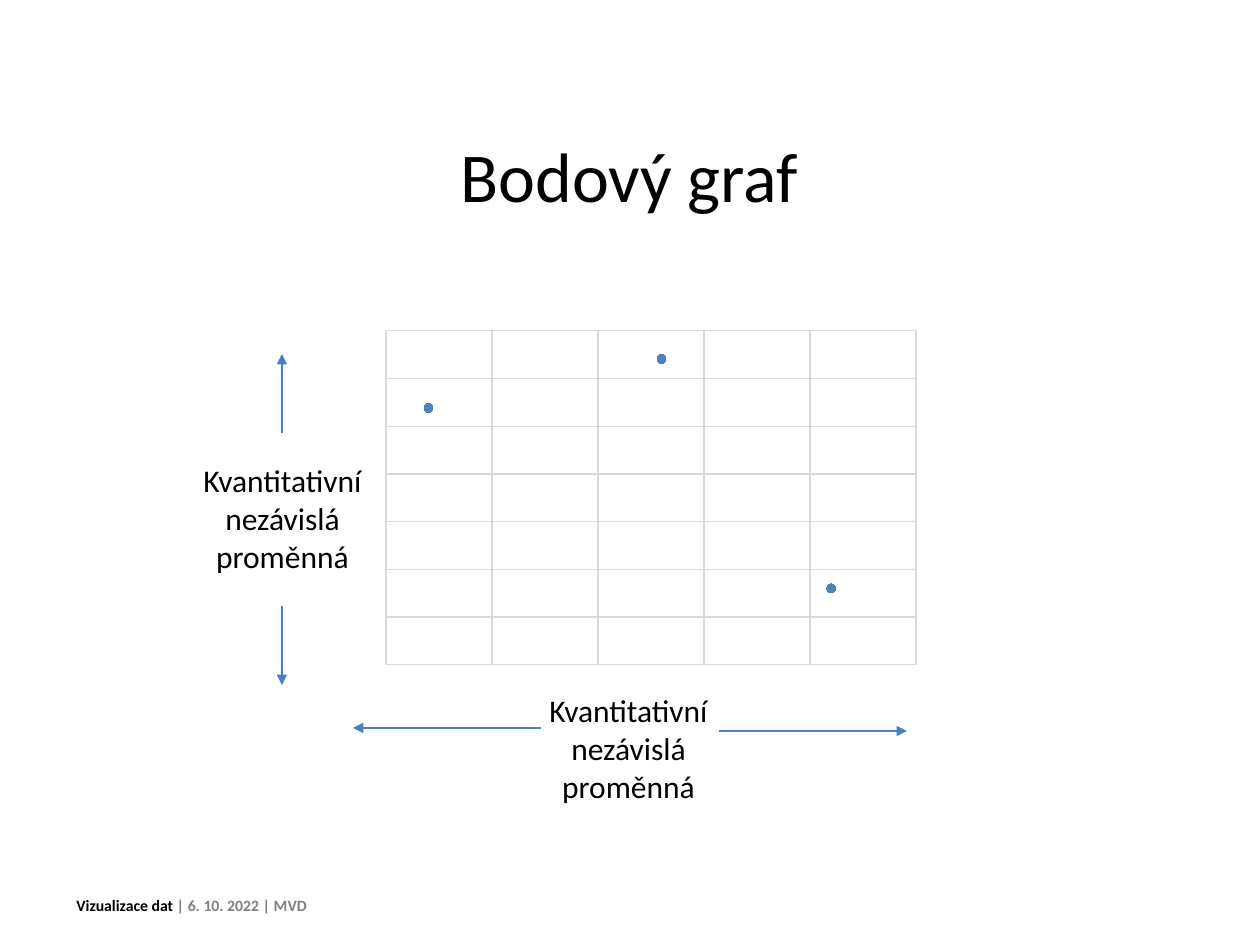
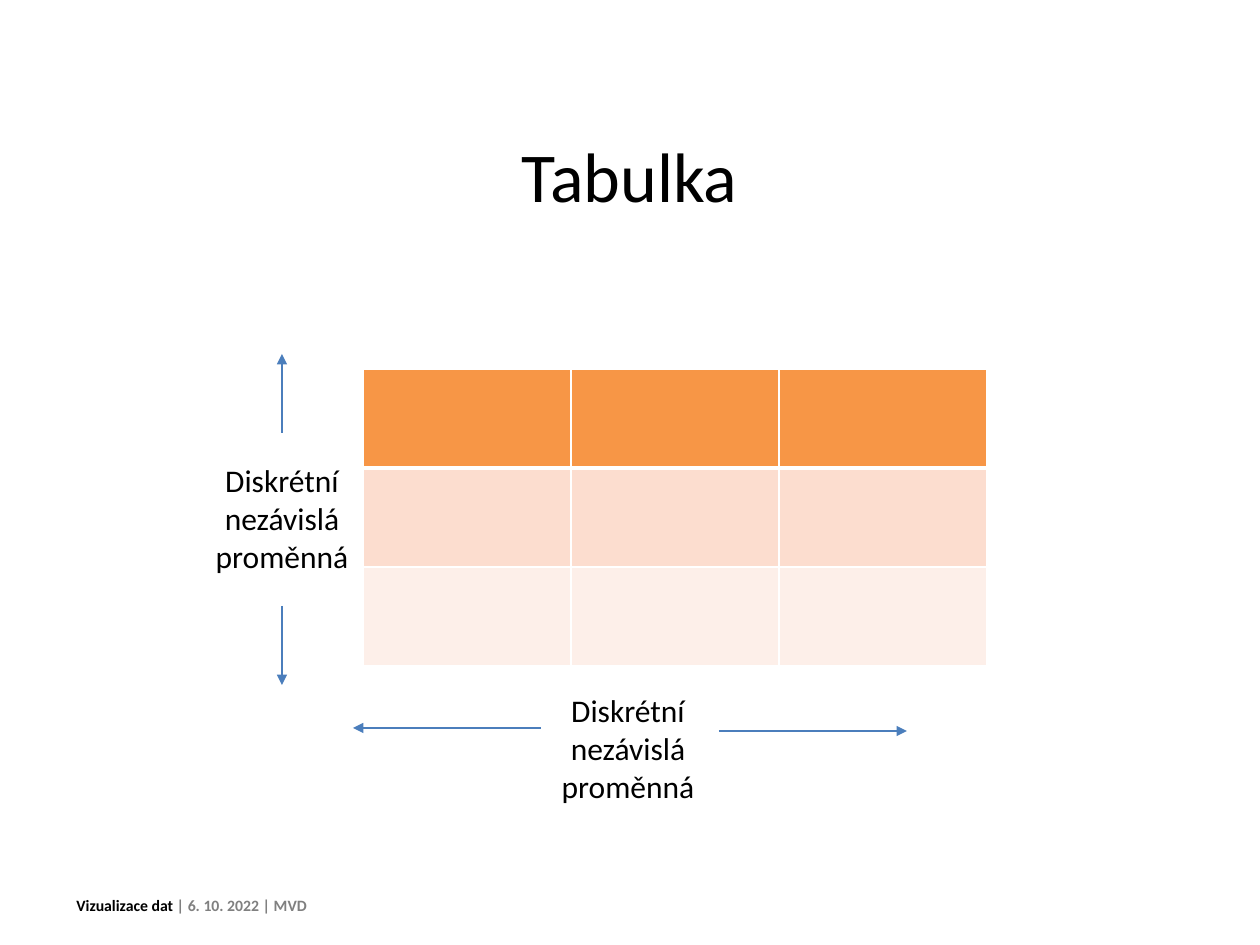
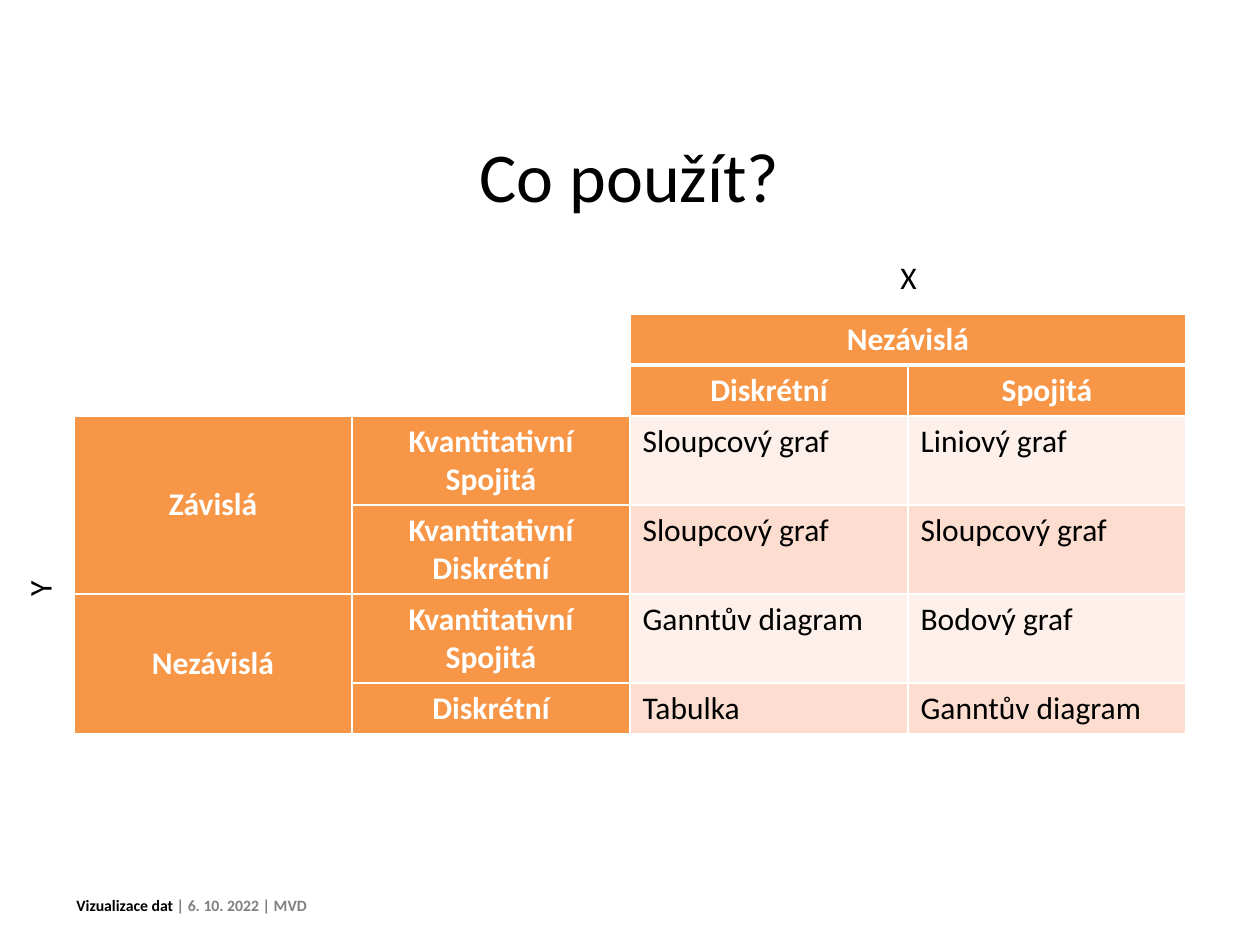
from dataclasses import dataclass

from lxml.etree import SubElement
from pptx import Presentation
from pptx.chart.data import XyChartData
from pptx.dml.color import RGBColor
from pptx.enum.chart import XL_CHART_TYPE as ChartType, XL_MARKER_STYLE as Marker
from pptx.enum.shapes import MSO_CONNECTOR as Connector
from pptx.enum.text import MSO_ANCHOR as Anchor, MSO_AUTO_SIZE as AutoSize, PP_ALIGN as Align
from pptx.oxml.ns import qn
from pptx.oxml.xmlchemy import OxmlElement
from pptx.slide import Slide
from pptx.table import Table, _Cell as TableCell
from pptx.text.text import TextFrame
from pptx.util import Emu, Pt

# Shared style
COLORS = {
    "text": "000000",
    "muted": "808080",
    "white": "FFFFFF",
    "header": "F79646",
    "band": "FCDDCF",
    "pale": "FDEFE9",
    "arrow": "4B7EBC",
    "point": "4F81BD",
    "grid": "D9D9D9",
}
FONT = "Calibri"
PX_PER_INCH = 126
TITLE_ONLY = 5


@dataclass(frozen=True)
class Box:
    left: int
    top: int
    width: int
    height: int

    def emu(self) -> tuple[Emu, Emu, Emu, Emu]:
        return px(self.left), px(self.top), px(self.width), px(self.height)


@dataclass(frozen=True)
class Run:
    text: str
    size: int = 18
    color: str = "text"
    bold: bool = False


@dataclass(frozen=True)
class Arrow:
    x1: int
    y1: int
    x2: int
    y2: int


@dataclass(frozen=True)
class Cell:
    text: str = ""
    fill: str = "white"
    anchor: Anchor = Anchor.TOP
    rows: int = 1
    cols: int = 1


TITLE_BOX = Box(74, 125, 1111, 99)
FOOTER_BOX = Box(64, 890, 1062, 31)
FOOTER = [
    Run("Vizualizace dat ", 9, "text", True),
    Run("| 6. 10. 2022 | MVD", 9, "muted", True),
]
AXIS_ARROWS = [
    Arrow(282, 606, 282, 685),
    Arrow(282, 433, 282, 354),
    Arrow(719, 731, 907, 731),
    Arrow(541, 728, 353, 728),
]
# Centre and top of the labels of the x and y axes
AXIS_LABELS = [(628, 685), (282, 455)]


def px(length: int) -> Emu:
    return Emu(round(length * 914400 / PX_PER_INCH))


def rgb(name: str) -> RGBColor:
    return RGBColor.from_string(COLORS[name])


# Text
def write(frame: TextFrame, lines: list[list[Run]], align: Align = Align.LEFT) -> None:
    for index, line in enumerate(lines):
        paragraph = frame.paragraphs[0] if index == 0 else frame.add_paragraph()
        paragraph.alignment = align
        for item in line:
            run = paragraph.add_run()
            run.text = item.text
            run.font.name = FONT
            run.font.size = Pt(item.size)
            run.font.bold = item.bold
            run.font.color.rgb = rgb(item.color)


def add_label(slide: Slide, box: Box, lines: list[list[Run]], align: Align = Align.LEFT,
              wrap: bool = False, rotation: int = 0) -> None:
    label = slide.shapes.add_textbox(*box.emu())
    label.rotation = rotation
    label.text_frame.word_wrap = wrap
    label.text_frame.auto_size = AutoSize.SHAPE_TO_FIT_TEXT
    write(label.text_frame, lines, align)


def add_titled_slide(deck: Presentation, heading: str) -> Slide:
    slide = deck.slides.add_slide(deck.slide_layouts[TITLE_ONLY])
    title = slide.shapes.title
    title.left, title.top, title.width, title.height = TITLE_BOX.emu()
    title.text_frame.vertical_anchor = Anchor.MIDDLE
    write(title.text_frame, [[Run(heading, 40)]], Align.CENTER)
    add_label(slide, FOOTER_BOX, [FOOTER], wrap=True)
    return slide


# Axis arrows with their labels
def add_arrow(slide: Slide, arrow: Arrow) -> None:
    line = slide.shapes.add_connector(
        Connector.STRAIGHT, px(arrow.x1), px(arrow.y1), px(arrow.x2), px(arrow.y2))
    line.line.color.rgb = rgb("arrow")
    line.line.width = Pt(0.75)
    properties = line.element.spPr
    SubElement(properties.find(qn("a:ln")), qn("a:tailEnd"), type="triangle")
    SubElement(properties, qn("a:effectLst"))


def add_axes(slide: Slide, kind: str, label_width: int) -> None:
    for arrow in AXIS_ARROWS:
        add_arrow(slide, arrow)
    lines = [[Run(word)] for word in (kind, "nezávislá", "proměnná")]
    for center, top in AXIS_LABELS:
        box = Box(center - label_width // 2, top, label_width, 127)
        add_label(slide, box, lines, Align.CENTER)


# Scatter chart
def add_scatter(slide: Slide, box: Box, points: list[tuple[float, int]]) -> None:
    data = XyChartData()
    observations = data.add_series("Series 1")
    for x, y in points:
        observations.add_data_point(x, y)
    chart = slide.shapes.add_chart(ChartType.XY_SCATTER, *box.emu(), data).chart
    chart.has_title = False
    chart.has_legend = False
    chart.font.name = FONT
    chart.font.size = Pt(10)
    chart.font.color.rgb = rgb("text")

    scales = [(chart.category_axis, 0.5, 3, 0.5), (chart.value_axis, 0, 109.2, 15.6)]
    for axis, low, high, step in scales:
        axis.minimum_scale, axis.maximum_scale, axis.major_unit = low, high, step
        axis.has_major_gridlines = True
        grid = axis.major_gridlines.format.line
        grid.color.rgb = rgb("grid")
        grid.width = Pt(0.75)
        axis.visible = False

    plot = chart.plots[0]
    plot.vary_by_categories = False
    series = plot.series[0]
    series.format.line.fill.background()
    series.marker.style = Marker.CIRCLE
    series.marker.size = 5
    series.marker.format.fill.solid()
    series.marker.format.fill.fore_color.rgb = rgb("point")
    series.marker.format.line.color.rgb = rgb("point")

    # Fixed inner plot area
    area = chart.element.find(".//" + qn("c:plotArea"))
    for automatic in area.findall(qn("c:layout")):
        area.remove(automatic)
    layout = OxmlElement("c:layout")
    area.insert(0, layout)
    manual = SubElement(layout, qn("c:manualLayout"))
    settings = {"layoutTarget": "inner", "xMode": "edge", "yMode": "edge",
                "x": "0.02", "y": "0.02", "w": "0.96", "h": "0.96"}
    for tag, value in settings.items():
        SubElement(manual, qn(f"c:{tag}"), val=value)


# Tables
def format_cell(cell: TableCell, fill: str, top: int, bottom: int) -> None:
    properties = cell._tc.get_or_add_tcPr()
    for side, width in {"L": 1, "R": 1, "T": top, "B": bottom}.items():
        border = SubElement(properties, qn(f"a:ln{side}"), w=str(Pt(width)))
        paint = SubElement(border, qn("a:solidFill"))
        SubElement(paint, qn("a:srgbClr"), val=COLORS["white"])
    cell.fill.solid()
    cell.fill.fore_color.rgb = rgb(fill)


def fill_cell(table: Table, row: int, col: int, content: Cell) -> None:
    cell = table.cell(row, col)
    if content.rows > 1 or content.cols > 1:
        cell.merge(table.cell(row + content.rows - 1, col + content.cols - 1))
    for r in range(row, row + content.rows):
        for c in range(col, col + content.cols):
            format_cell(table.cell(r, c), content.fill,
                        3 if r == 1 else 1, 3 if r == 0 else 1)
    cell.vertical_anchor = content.anchor
    if content.text:
        is_header = content.fill == "header"
        color = "white" if is_header else "text"
        lines = [[Run(text, 18, color, is_header)] for text in content.text.split("\n")]
        write(cell.text_frame, lines, Align.CENTER if is_header else Align.LEFT)


def add_grid(slide: Slide, left: int, top: int, col_width: int, heights: list[int],
             cells: list[list[Cell | None]]) -> None:
    cols = len(cells[0])
    box = Box(left, top, col_width * cols, sum(heights))
    table = slide.shapes.add_table(len(heights), cols, *box.emu()).table
    table.first_row = False
    table.horz_banding = False
    for column in table.columns:
        column.width = px(col_width)
    for row, height in zip(table.rows, heights):
        row.height = px(height)
    for r, contents in enumerate(cells):
        for c, content in enumerate(contents):
            if content:
                fill_cell(table, r, c, content)


def head(text: str, rows: int = 1, cols: int = 1) -> Cell:
    return Cell(text, "header", Anchor.TOP, rows, cols)


def side(text: str, rows: int = 1) -> Cell:
    return Cell(text, "header", Anchor.MIDDLE, rows)


def choices(fill: str, discrete: str, continuous: str) -> list[Cell]:
    return [Cell(discrete, fill), Cell(continuous, fill)]


# Slides
def build_scatter_slide(deck: Presentation) -> None:
    slide = add_titled_slide(deck, "Bodový graf")
    add_scatter(slide, Box(375, 324, 552, 348), [(0.7, 84), (1.8, 100), (2.6, 25)])
    add_axes(slide, "Kvantitativní", 185)


def build_table_slide(deck: Presentation) -> None:
    slide = add_titled_slide(deck, "Tabulka")
    add_axes(slide, "Diskrétní", 160)
    rows = [[Cell(fill=fill)] * 3 for fill in ("header", "band", "pale")]
    add_grid(slide, 363, 369, 208, [99] * 3, rows)


def build_choice_slide(deck: Presentation) -> None:
    slide = add_titled_slide(deck, "Co použít?")
    continuous = side("Kvantitativní\nSpojitá")
    rows = [
        [Cell(), Cell(), head("Nezávislá", cols=2), None],
        [Cell(), Cell(), head("Diskrétní"), head("Spojitá")],
        [side("Závislá", 2), continuous, *choices("pale", "Sloupcový graf", "Liniový graf")],
        [None, side("Kvantitativní\nDiskrétní"),
         *choices("band", "Sloupcový graf", "Sloupcový graf")],
        [side("Nezávislá", 2), continuous, *choices("pale", "Ganntův diagram", "Bodový graf")],
        [None, side("Diskrétní"), *choices("band", "Tabulka", "Ganntův diagram")],
    ]
    add_grid(slide, 74, 314, 278, [51, 51, 89, 89, 89, 51], rows)
    add_label(slide, Box(19, 564, 40, 50), [[Run("Y")]], rotation=270)
    add_label(slide, Box(888, 252, 42, 50), [[Run("X")]])


def main() -> None:
    deck = Presentation()
    deck.slide_width, deck.slide_height = px(1260), px(945)
    build_scatter_slide(deck)
    build_table_slide(deck)
    build_choice_slide(deck)
    deck.save("out.pptx")


if __name__ == "__main__":
    main()
